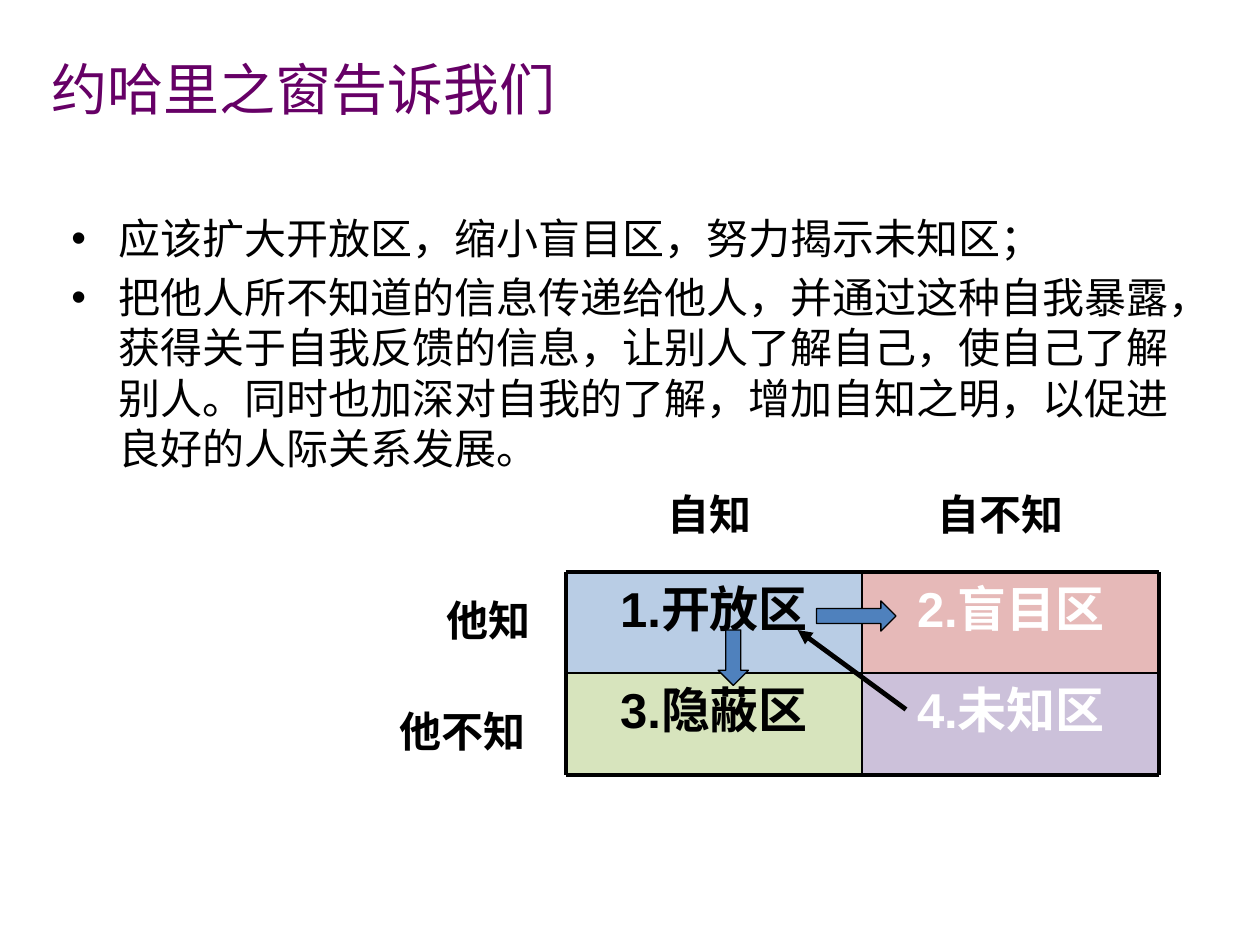
from lxml.etree import SubElement
from pptx import Presentation
from pptx.dml.color import RGBColor
from pptx.enum.shapes import MSO_CONNECTOR, MSO_SHAPE
from pptx.enum.text import MSO_ANCHOR, PP_ALIGN
from pptx.oxml.ns import qn
from pptx.util import Pt


def color(hex_code):
    return RGBColor.from_string(hex_code)


def write(paragraph, text, size=24, font="Calibri", ink="000000", bold=False,
          align=PP_ALIGN.LEFT, before=0):
    paragraph.alignment = align
    paragraph.space_before = Pt(before)
    run = paragraph.add_run()
    run.text = text
    run.font.size = Pt(size)
    run.font.name = font
    run.font.bold = bold
    run.font.color.rgb = color(ink)


class JohariSlide:
    """Holds the slide and its style, and draws each kind of element in points."""

    black = "000000"
    title_ink = "660066"
    arrow_fill = "4F81BD"
    indent = 27

    def __init__(self, slide):
        self.slide = slide

    def text(self, box, text, anchor=MSO_ANCHOR.TOP, **style):
        frame = self.slide.shapes.add_textbox(*map(Pt, box)).text_frame
        frame.word_wrap = True
        frame.vertical_anchor = anchor
        write(frame.paragraphs[0], text, **style)

    def bullets(self, box, points):
        frame = self.slide.shapes.add_textbox(*map(Pt, box)).text_frame
        frame.word_wrap = True
        for index, point in enumerate(points):
            paragraph = frame.add_paragraph() if index else frame.paragraphs[0]
            properties = paragraph._p.get_or_add_pPr()
            properties.set("marL", str(Pt(self.indent)))
            properties.set("indent", str(-Pt(self.indent)))
            SubElement(properties, qn("a:buFont"), typeface="Arial")
            SubElement(properties, qn("a:buChar"), char="•")
            write(paragraph, point, before=4.8 if index else 0)

    def shape(self, preset, box, fill):
        shape = self.slide.shapes.add_shape(preset, *map(Pt, box))
        shape.shadow.inherit = False
        shape.fill.solid()
        shape.fill.fore_color.rgb = color(fill)
        return shape

    def cell(self, box, text, fill, ink):
        area = self.shape(MSO_SHAPE.RECTANGLE, box, fill)
        area.line.fill.background()
        area.text_frame.word_wrap = True
        area.text_frame.vertical_anchor = MSO_ANCHOR.TOP
        write(area.text_frame.paragraphs[0], text, size=28, font="Arial",
              ink=ink, bold=True, align=PP_ALIGN.CENTER)

    def block_arrow(self, preset, box):
        arrow = self.shape(preset, box, self.arrow_fill)
        arrow.line.color.rgb = color(self.black)
        arrow.line.width = Pt(0.75)

    def line(self, start, end, width, arrowhead=False):
        line = self.slide.shapes.add_connector(
            MSO_CONNECTOR.STRAIGHT, *map(Pt, (*start, *end)))
        line.line.color.rgb = color(self.black)
        line.line.width = Pt(width)
        if arrowhead:
            SubElement(line.line._get_or_add_ln(), qn("a:tailEnd"), type="triangle")
        SubElement(line._element.spPr, qn("a:effectLst"))


def main():
    deck = Presentation()
    deck.slide_width, deck.slide_height = Pt(720), Pt(540)
    page = JohariSlide(deck.slides.add_slide(deck.slide_layouts[6]))

    page.text((22.3, 28, 648, 44.6), "约哈里之窗告诉我们", anchor=MSO_ANCHOR.MIDDLE,
              size=32, font="Noto Sans CJK SC", ink=page.title_ink)
    page.bullets((33.8, 118, 650.2, 358.6), [
        "应该扩大开放区，缩小盲目区，努力揭示未知区；",
        "把他人所不知道的信息传递给他人，并通过这种自我暴露，获得关于自我反馈的信息，"
        "让别人了解自己，使自己了解别人。同时也加深对自我的了解，增加自知之明，"
        "以促进良好的人际关系发展。",
    ])

    left, top, cell_width, cell_height = 323.2, 326.8, 169.6, 58
    columns = [left + cell_width * i for i in range(3)]
    rows = [top + cell_height * i for i in range(3)]
    areas = [
        ("4.未知区", 1, 1, "CCC1DA", "FFFFFF"),
        ("3.隐蔽区", 0, 1, "D7E4BD", "000000"),
        ("2.盲目区", 1, 0, "E6B9B8", "FFFFFF"),
        ("1.开放区", 0, 0, "B9CDE5", "000000"),
    ]
    for name, column, row, fill, ink in areas:
        page.cell((columns[column], rows[row], cell_width, cell_height), name, fill, ink)
    rule_widths = (2.25, 1, 2.25)
    for y, width in zip(rows, rule_widths):
        page.line((columns[0], y), (columns[-1], y), width)
    for x, width in zip(columns, rule_widths):
        page.line((x, rows[0]), (x, rows[-1]), width)

    headings = [
        ("他知", 239.8, 336.2, 70.6, PP_ALIGN.RIGHT),
        ("他不知", 208.1, 399.6, 99.4, PP_ALIGN.RIGHT),
        ("自知", 370.1, 275.8, 70.6, PP_ALIGN.CENTER),
        ("自不知", 522, 275.8, 99.4, PP_ALIGN.CENTER),
    ]
    for heading, x, y, width, align in headings:
        page.text((x, y, width, 36.7), heading, bold=True, align=align)

    page.block_arrow(MSO_SHAPE.RIGHT_ARROW, (466.6, 343.4, 45.4, 17.3))
    page.block_arrow(MSO_SHAPE.DOWN_ARROW, (410.4, 360, 17.3, 31.7))
    page.line((517.7, 405.4), (455.8, 360), 2.75, arrowhead=True)
    deck.save("out.pptx")


if __name__ == "__main__":
    main()
